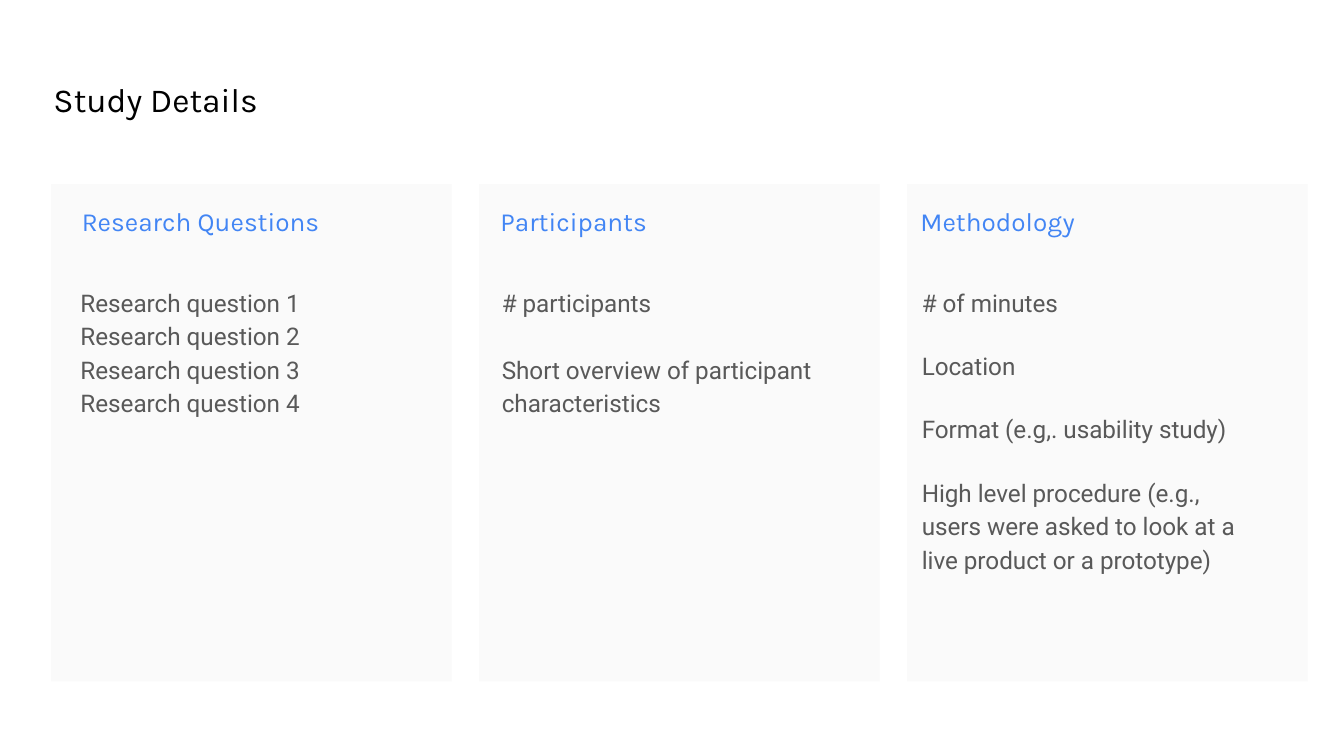
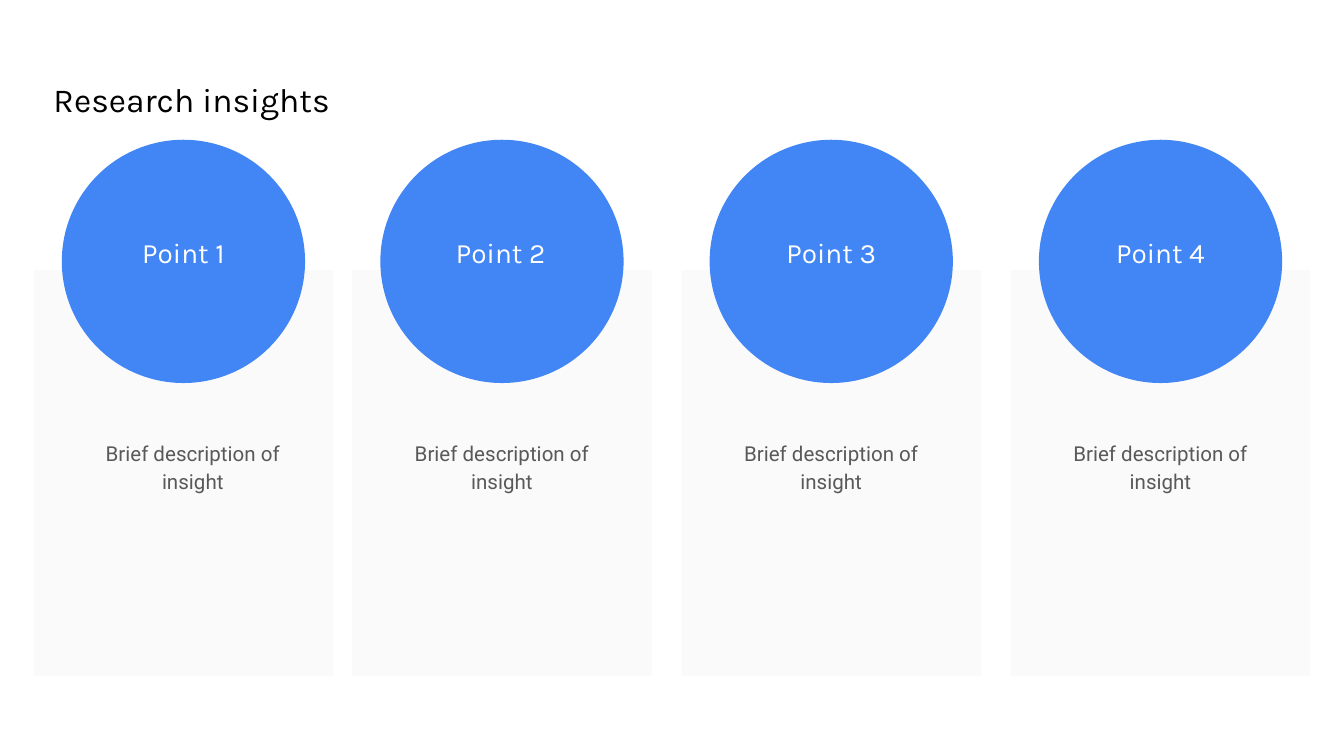
from copy import deepcopy

from pptx import Presentation
from pptx.dml.color import RGBColor
from pptx.enum.shapes import MSO_SHAPE
from pptx.enum.text import MSO_ANCHOR, PP_ALIGN
from pptx.oxml.ns import qn
from pptx.util import Inches, Pt

WHITE = RGBColor(0xFF, 0xFF, 0xFF)
BLACK = RGBColor(0, 0, 0)
BLUE = RGBColor(0x42, 0x85, 0xF4)
PALE = RGBColor(0xFA, 0xFA, 0xFA)
GRAY = RGBColor(0x59, 0x59, 0x59)

# Each style: font values, colour, then paragraph values
TITLE = ({"name": "Karla", "size": Pt(18)}, BLACK, {"line_spacing": 1.15})
HEAD = ({"name": "Karla", "size": Pt(14)}, BLUE, {})
BODY = ({"name": "Roboto", "size": Pt(13)}, GRAY, {"line_spacing": 1.15})
POINT = ({"name": "Karla", "size": Pt(15)}, WHITE,
         {"alignment": PP_ALIGN.CENTER})
BRIEF = ({"name": "Roboto", "size": Pt(11)}, GRAY,
         {"alignment": PP_ALIGN.CENTER, "line_spacing": 1.15})

# Heading, left shifts of heading and body, lines with the space before each
DETAILS = [
    ("Research Questions", 0.13, 0.12,
     [("Research question 1", 0),
      ("\v".join(f"Research question {n}" for n in (2, 3, 4)), 0)]),
    ("Participants", 0.06, 0.07,
     [("# participants", 0),
      ("Short overview of participant characteristics", 18)]),
    ("Methodology", 0, 0.01,
     [("# of minutes", 0),
      ("Location", 16),
      ("Format (e.g,. usability study)", 16),
      ("High level procedure (e.g., users were asked to look at a "
       "live product or a prototype)", 16)]),
]
# Left edge of each card and left shifts of its label and description
INSIGHTS = [(0.25, 0.14, 0.21), (2.62, 0.13, 0.14),
            (5.07, 0.14, 0.14), (7.52, 0.14, 0.14)]


def apply(target, values):
    for key, value in values.items():
        setattr(target, key, value)


def add_text(slide, box, lines, style, top=0.1):
    """Add a text box; lines are (text, points before) pairs."""
    font, color, para = style
    frame = slide.shapes.add_textbox(*map(Inches, box)).text_frame
    apply(frame, {"word_wrap": True, "vertical_anchor": MSO_ANCHOR.TOP,
                  "margin_left": Inches(0.1), "margin_right": Inches(0.1),
                  "margin_top": Inches(top), "margin_bottom": Inches(0.1)})
    for i, (text, before) in enumerate(lines):
        p = frame.add_paragraph() if i else frame.paragraphs[0]
        p.text = text
        apply(p, para)
        if before:
            p.space_before = Pt(before)
        for run in p.runs:
            apply(run.font, font)
            run.font.color.rgb = color
        # Line breaks take the size of the text around them
        for mark in p._p.findall(qn("a:br")):
            mark.append(deepcopy(p.runs[0]._r.rPr))


def add_block(slide, kind, box, color):
    shape = slide.shapes.add_shape(kind, *map(Inches, box))
    shape.shadow.inherit = False
    shape.fill.solid()
    shape.fill.fore_color.rgb = color
    shape.line.fill.background()


def add_slide(deck, title, box):
    slide = deck.slides.add_slide(deck.slide_layouts[6])
    slide.background.fill.solid()
    slide.background.fill.fore_color.rgb = WHITE
    add_text(slide, box, [(title, 0)], TITLE)
    return slide


def detail_card(slide, box, head, shift, indent, lines):
    left, top, _, _ = box
    add_block(slide, MSO_SHAPE.RECTANGLE, box, PALE)
    add_text(slide, (left + shift, top + 0.06, 2.71, 0.31),
             [(head, 0)], HEAD)
    add_text(slide, (left + indent, top + 0.64, 2.71, 2.42), lines, BODY)


def insight_card(slide, box, label, shift, indent):
    left, top, width, _ = box
    size = 1.81
    add_block(slide, MSO_SHAPE.RECTANGLE, box, PALE)
    add_block(slide, MSO_SHAPE.OVAL,
              (left + (width - size) / 2, top - 0.97, size, size), BLUE)
    add_text(slide, (left + shift, top - 0.36, 1.95, 0.59),
             [(label, 0)], POINT)
    add_text(slide, (left + indent, top + 0.77, 1.95, 1.47),
             [("Brief description of insight", 0)], BRIEF, top=0.62)


def details_slide(deck):
    slide = add_slide(deck, "Study Details", (0.3, 0.44, 1.93, 0.83))
    first, last = 0.38, 6.75
    step = (last - first) / (len(DETAILS) - 1)
    for i, card in enumerate(DETAILS):
        detail_card(slide, (first + i * step, 1.37, 2.98, 3.7), *card)


def insights_slide(deck):
    slide = add_slide(deck, "Research insights", (0.3, 0.44, 5.04, 0.53))
    for n, (left, shift, indent) in enumerate(INSIGHTS, 1):
        insight_card(slide, (left, 2.01, 2.23, 3.02), f"Point {n}",
                     shift, indent)


def main():
    deck = Presentation()
    wide = Inches(10)
    apply(deck, {"slide_width": wide, "slide_height": wide * 9 // 16})
    details_slide(deck)
    insights_slide(deck)
    deck.save("out.pptx")


if __name__ == "__main__":
    main()
